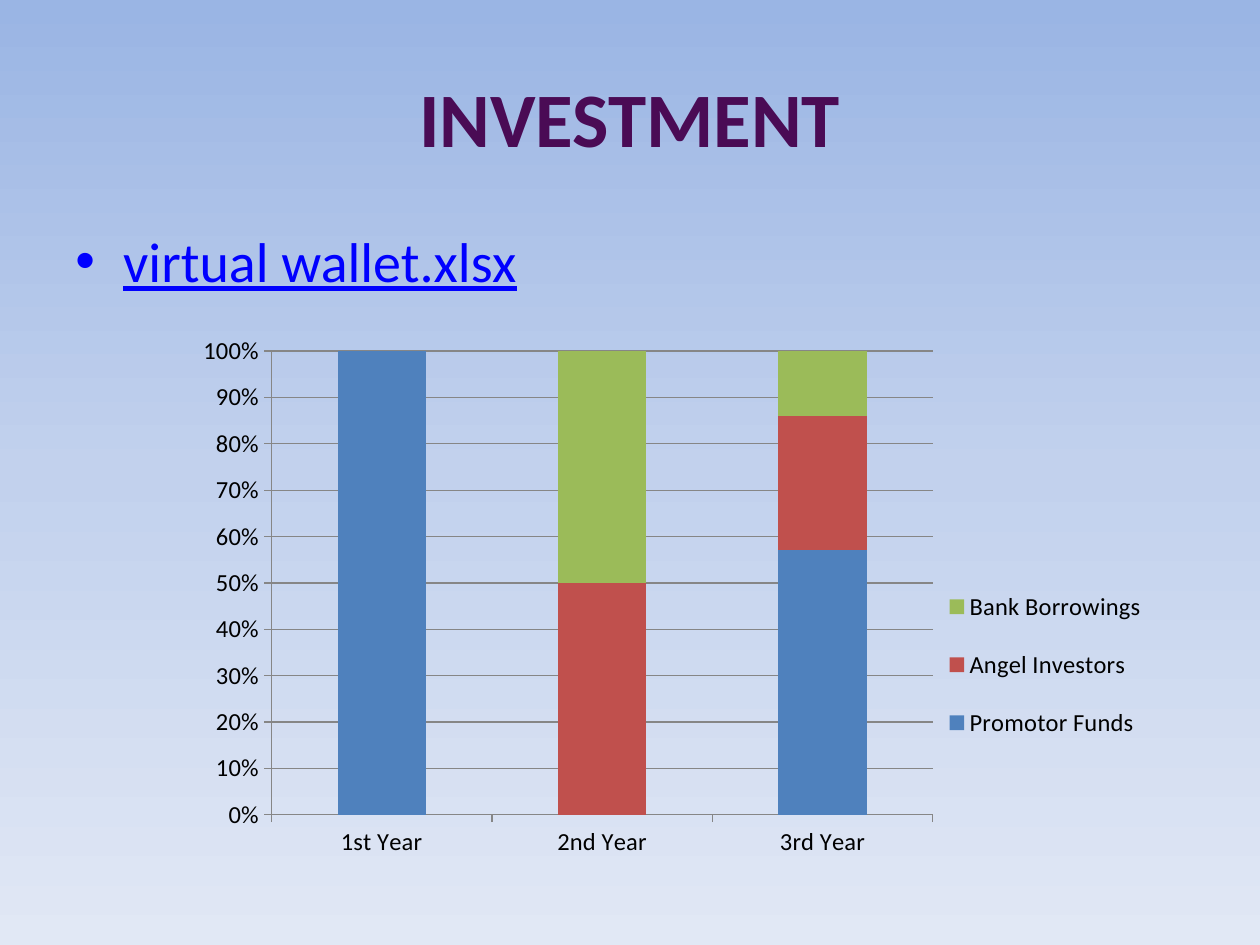
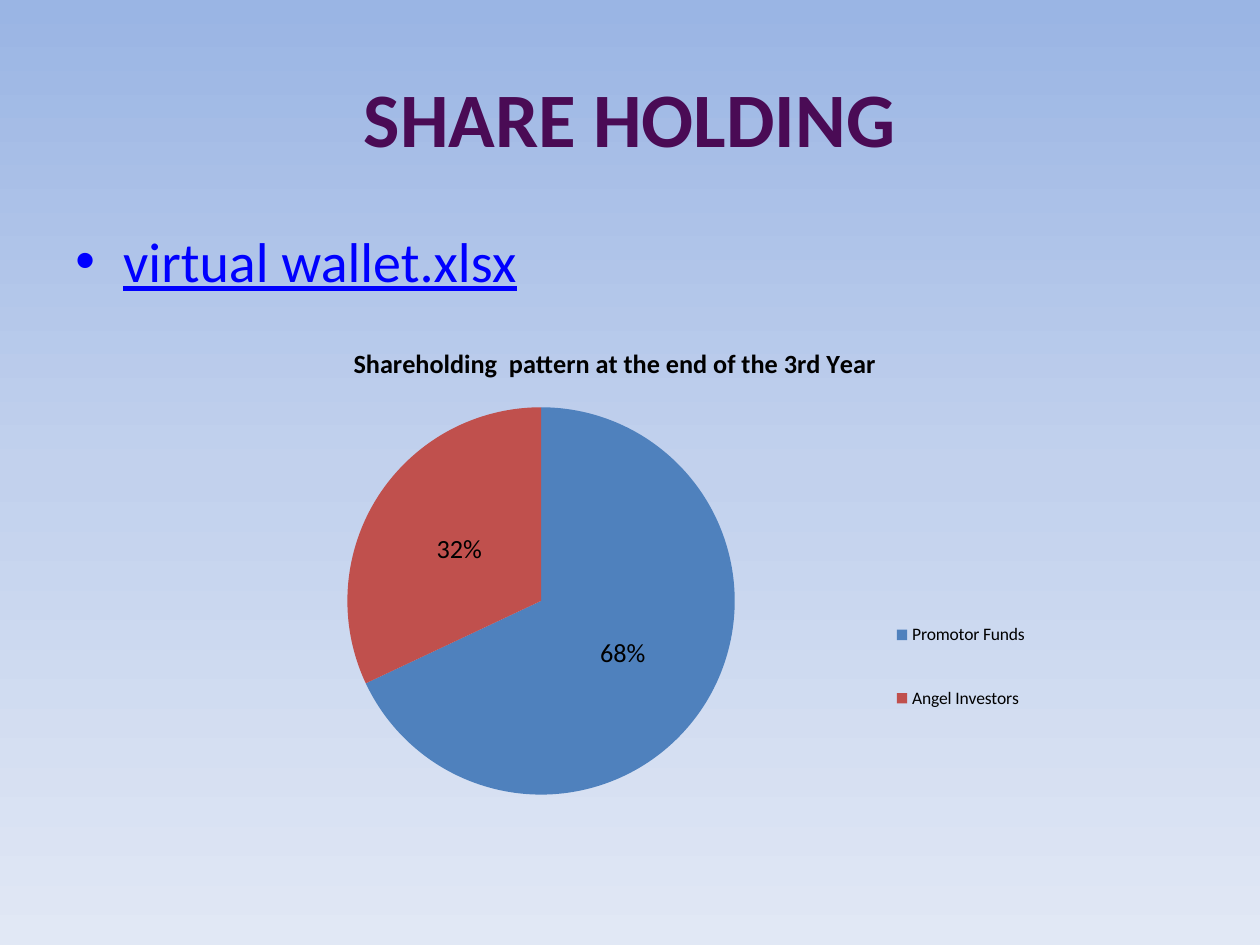
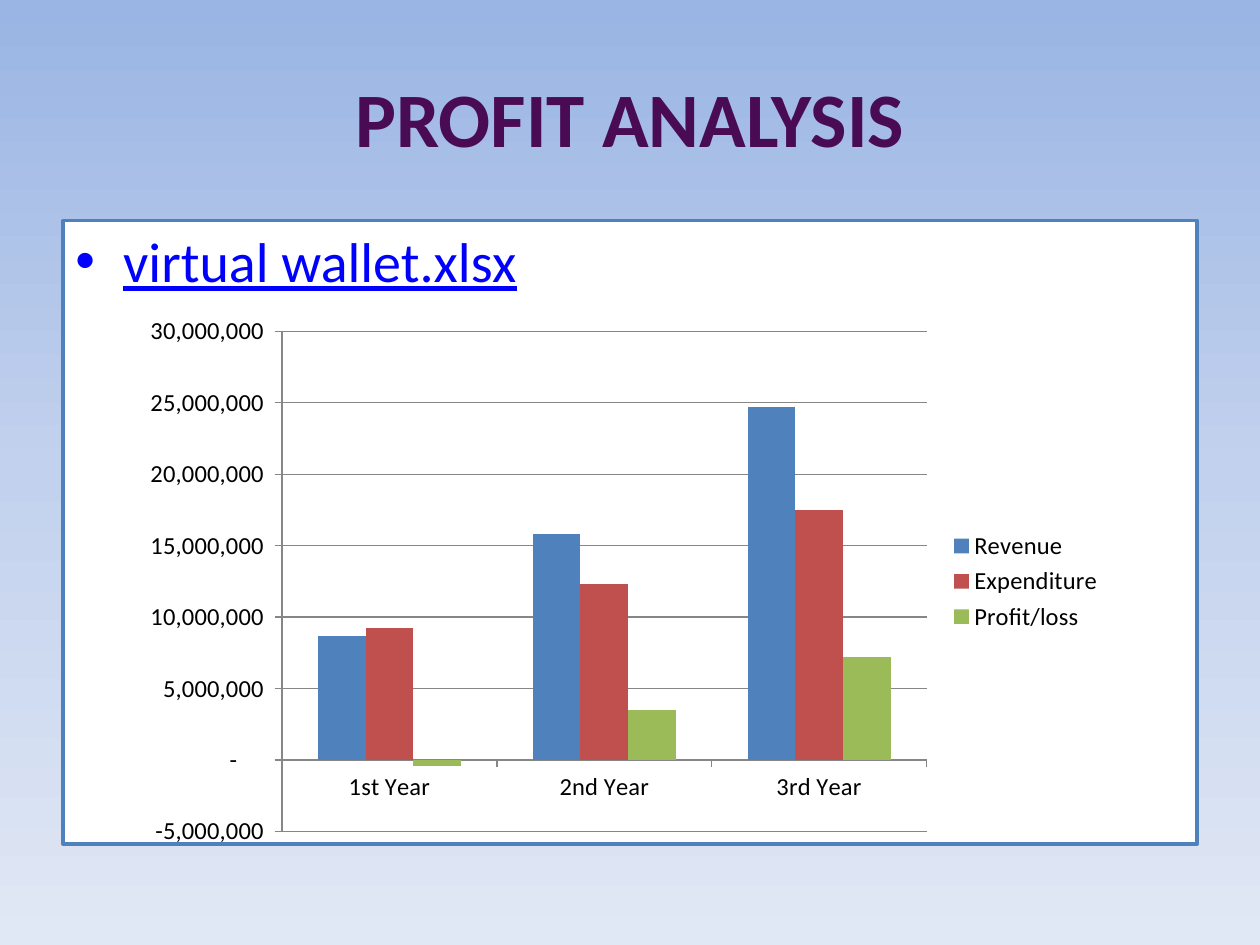
from copy import deepcopy

from lxml import etree
from pptx import Presentation
from pptx.chart.data import CategoryChartData
from pptx.dml.color import RGBColor
from pptx.enum.chart import XL_CHART_TYPE as CT, XL_LABEL_POSITION as LP
from pptx.enum.chart import XL_LEGEND_POSITION as LEG, XL_TICK_MARK as TICK
from pptx.enum.shapes import MSO_SHAPE as SHAPE
from pptx.enum.text import MSO_ANCHOR as ANCHOR, PP_ALIGN as ALIGN
from pptx.oxml import parse_xml
from pptx.oxml.ns import nsdecls, qn
from pptx.util import Inches, Pt

BLACK = RGBColor(0x00, 0x00, 0x00)
WHITE = RGBColor(0xFF, 0xFF, 0xFF)
PLUM = RGBColor(0x4A, 0x0B, 0x55)
LINK = RGBColor(0x00, 0x00, 0xFF)
GRAY = RGBColor(0x86, 0x86, 0x86)
BLUE = RGBColor(0x4F, 0x81, 0xBD)
RED = RGBColor(0xC0, 0x50, 0x4D)
GREEN = RGBColor(0x9B, 0xBB, 0x59)
SERIES_COLORS = (BLUE, RED, GREEN)
SKY = ((0, RGBColor(0x9A, 0xB5, 0xE4)),
       (0.5, RGBColor(0xC2, 0xD1, 0xED)),
       (1, RGBColor(0xE1, 0xE8, 0xF5)))
YEARS = ("1st Year", "2nd Year", "3rd Year")
FONT = "Calibri"
AMOUNT = '_ * #,##0_ ;_ * \\-#,##0_ ;_ * "-"??_ ;_ '


def set_font(font, size, color=BLACK, bold=False, underline=False):
    """Apply the shared typeface with the given format."""
    font.name, font.size = FONT, Pt(size)
    font.bold, font.underline = bold, underline
    font.color.rgb = color


def write(sp, text, size, color, bold=False, underline=False,
          align=ALIGN.LEFT, anchor=ANCHOR.TOP, bullet=None):
    """Put one formatted paragraph in a shape."""
    tf = sp.text_frame
    tf.word_wrap = True
    tf.vertical_anchor = anchor
    p = tf.paragraphs[0]
    p.alignment = align
    r = p.add_run()
    r.text = text
    set_font(r.font, size, color, bold, underline)
    if bullet:
        p.space_before = Pt(size * 0.2)
        pPr = p._p.get_or_add_pPr()
        pPr.set("marL", str(Inches(0.38)))
        pPr.set("indent", str(-Inches(0.38)))
        etree.SubElement(pPr, qn("a:buFont")).set("typeface", "Arial")
        etree.SubElement(pPr, qn("a:buChar")).set("char", bullet)


def place(parent, before, target, x, y, w, h):
    """Give a chart part a fixed place, in fractions of the chart."""
    for old in parent.findall(qn("c:layout")):
        parent.remove(old)
    inner = '<c:layoutTarget val="inner"/>' if target else ""
    sizes = "".join(f'<c:{k} val="{v}"/>' for k, v in zip("xywh", (x, y, w, h)))
    layout = parse_xml(
        f'<c:layout {nsdecls("c")}><c:manualLayout>{inner}<c:xMode val="edge"/>'
        f'<c:yMode val="edge"/>{sizes}</c:manualLayout></c:layout>')
    if before is None:
        parent.insert(0, layout)
    else:
        parent.find(qn(before)).addnext(layout)


class Deck:
    """Builds slides that share one background, title and chart style."""

    def __init__(self):
        self.prs = Presentation()
        self.prs.slide_width, self.prs.slide_height = Inches(10), Inches(7.5)
        self.s = None

    def slide(self, title):
        """Start a slide with the gradient background and its title."""
        self.s = self.prs.slides.add_slide(self.prs.slide_layouts[6])
        fill = self.s.background.fill
        fill.gradient()
        fill.gradient_angle = 270
        stop = self.s._element.find(".//" + qn("a:gs"))
        stop.addnext(deepcopy(stop))
        for gs, (position, color) in zip(fill.gradient_stops, SKY):
            gs.position, gs.color.rgb = position, color
        sp = self.s.shapes.add_textbox(
            Inches(0.5), Inches(0.3), Inches(9), Inches(1.25))
        write(sp, title, 44, PLUM, bold=True,
              align=ALIGN.CENTER, anchor=ANCHOR.MIDDLE)

    def body(self, text, height=4.95, panel=False):
        """Add the bulleted body, on a white panel if asked."""
        box = Inches(0.5), Inches(1.75), Inches(9), Inches(height)
        if panel:
            sp = self.s.shapes.add_shape(SHAPE.RECTANGLE, *box)
            sp.shadow.inherit = False
            sp.fill.solid()
            sp.fill.fore_color.rgb = WHITE
            sp.line.color.rgb, sp.line.width = BLUE, Pt(2)
        else:
            sp = self.s.shapes.add_textbox(*box)
        write(sp, text, 32, LINK, underline=True, bullet="•")

    def chart(self, kind, box, cats, series, plot, legend, legend_size):
        """Add a chart with a placed plot area and legend."""
        data = CategoryChartData()
        data.categories = cats
        for name, values in series:
            data.add_series(name, values)
        chart = self.s.shapes.add_chart(kind, *map(Inches, box), data).chart
        set_font(chart.font, 10)
        chart.has_title = False
        chart.has_legend = True
        chart.legend.position = LEG.RIGHT
        chart.legend.include_in_layout = False
        set_font(chart.legend.font, legend_size)
        place(chart.legend._element, "c:legendPos", False, *legend)
        place(chart._chartSpace.chart.plotArea, None, True, *plot)
        return chart

    def columns(self, kind, box, series, plot, legend, fmt, overlap=0):
        """Add a column chart over the three years."""
        chart = self.chart(kind, box, YEARS, series, plot, legend, 14)
        bars = chart.plots[0]
        bars.gap_width, bars.overlap = 150, overlap
        bars.vary_by_categories = False
        for ser, color in zip(bars.series, SERIES_COLORS):
            ser.invert_if_negative = False
            ser.format.fill.solid()
            ser.format.fill.fore_color.rgb = color
        for axis in (chart.category_axis, chart.value_axis):
            axis.major_tick_mark = TICK.OUTSIDE
            axis.minor_tick_mark = TICK.NONE
            axis.format.line.color.rgb = GRAY
            set_font(axis.tick_labels.font, 14)
        axis = chart.value_axis
        axis.has_major_gridlines = True
        axis.major_gridlines.format.line.color.rgb = GRAY
        axis.tick_labels.number_format = fmt
        axis.tick_labels.number_format_is_linked = False

    def pie(self, box, title, cats, values, plot, legend):
        """Add a pie chart with a title and percentage labels."""
        chart = self.chart(CT.PIE, box, cats, [("Series 1", values)],
                           plot, legend, 10)
        chart.has_title = True
        p = chart.chart_title.text_frame.paragraphs[0]
        r = p.add_run()
        r.text = title
        set_font(r.font, 15, bold=True)
        chart.chart_title.include_in_layout = False
        pie = chart.plots[0]
        pie.vary_by_categories = True
        for i, color in enumerate(SERIES_COLORS[:len(cats)]):
            fill = pie.series[0].points[i].format.fill
            fill.solid()
            fill.fore_color.rgb = color
        labels = pie.series[0].data_labels
        labels.show_value = True
        labels.number_format, labels.number_format_is_linked = "0%", False
        labels.position = LP.CENTER
        set_font(labels.font, 15)


def main():
    """Build the three finance slides."""
    deck = Deck()
    source = "virtual wallet.xlsx"

    deck.slide("INVESTMENT")
    deck.body(source, height=5.07)
    deck.columns(
        CT.COLUMN_STACKED_100, (1.46, 2.57, 7.72, 4.33),
        [("Promotor Funds", (100, None, 57)),
         ("Angel Investors", (None, 50, 29)),
         ("Bank Borrowings", (None, 50, 14))],
        plot=(0.09, 0.05, 0.68, 0.85), legend=(0.79, 0.44, 0.2, 0.37),
        fmt="0%", overlap=100)

    deck.slide("SHARE HOLDING")
    deck.body(source)
    deck.pie(
        (1.22, 2.57, 7.32, 3.86),
        "Shareholding  pattern at the end of the 3rd Year",
        ("Promotor Funds", "Angel Investors"), (0.68, 0.32),
        plot=(0.21, 0.17, 0.42, 0.8), legend=(0.79, 0.53, 0.17, 0.35))

    deck.slide("PROFIT ANALYSIS")
    deck.body(source, panel=True)
    deck.columns(
        CT.COLUMN_CLUSTERED, (0.98, 2.41, 7.87, 4.41),
        [("Revenue", (8700000, 15800000, 24700000)),
         ("Expenditure", (9200000, 12300000, 17500000)),
         ("Profit/loss", (-400000, 3500000, 7200000))],
        plot=(0.16, 0.05, 0.65, 0.9), legend=(0.83, 0.4, 0.16, 0.2),
        fmt=AMOUNT)

    deck.prs.save("out.pptx")


if __name__ == "__main__":
    main()
